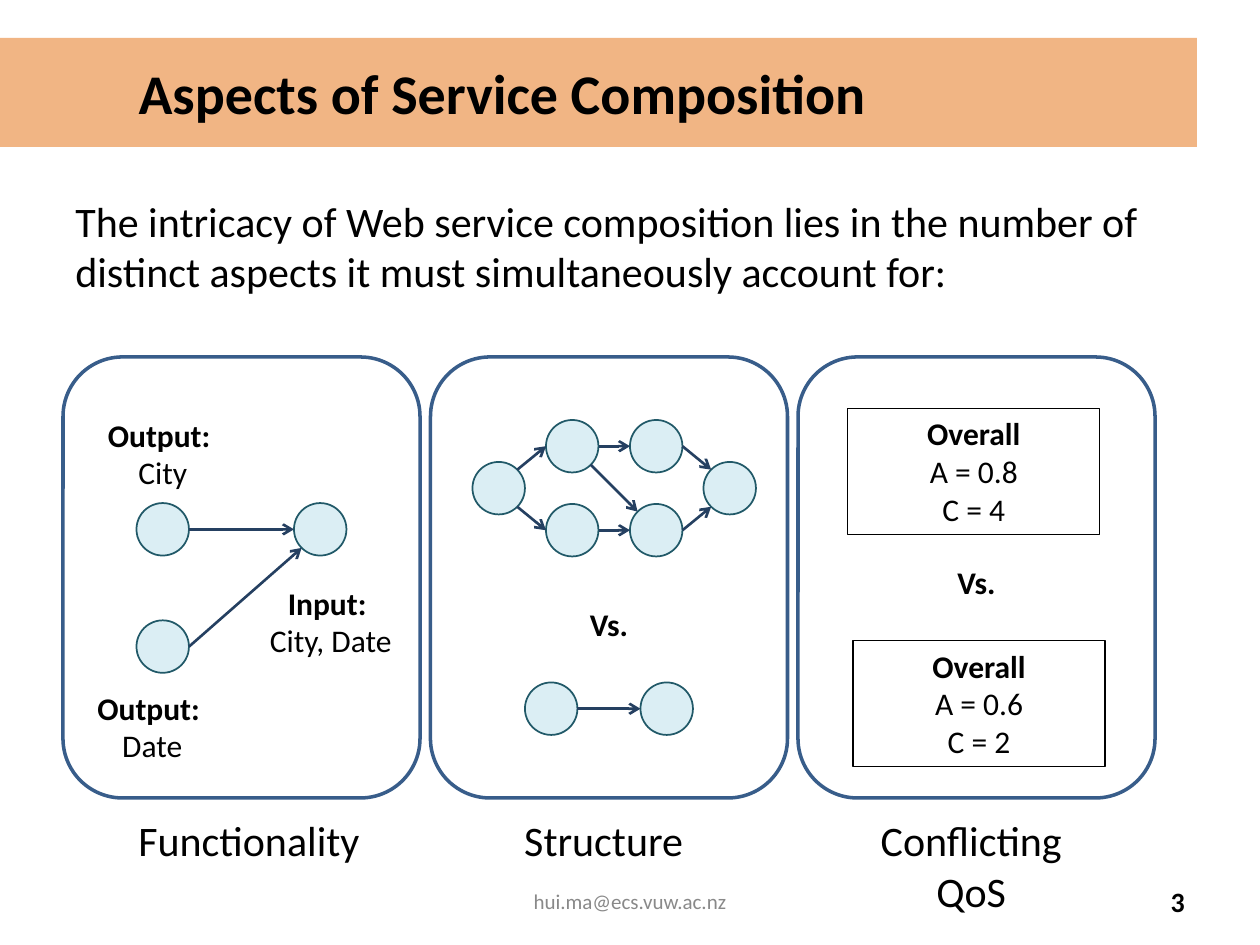
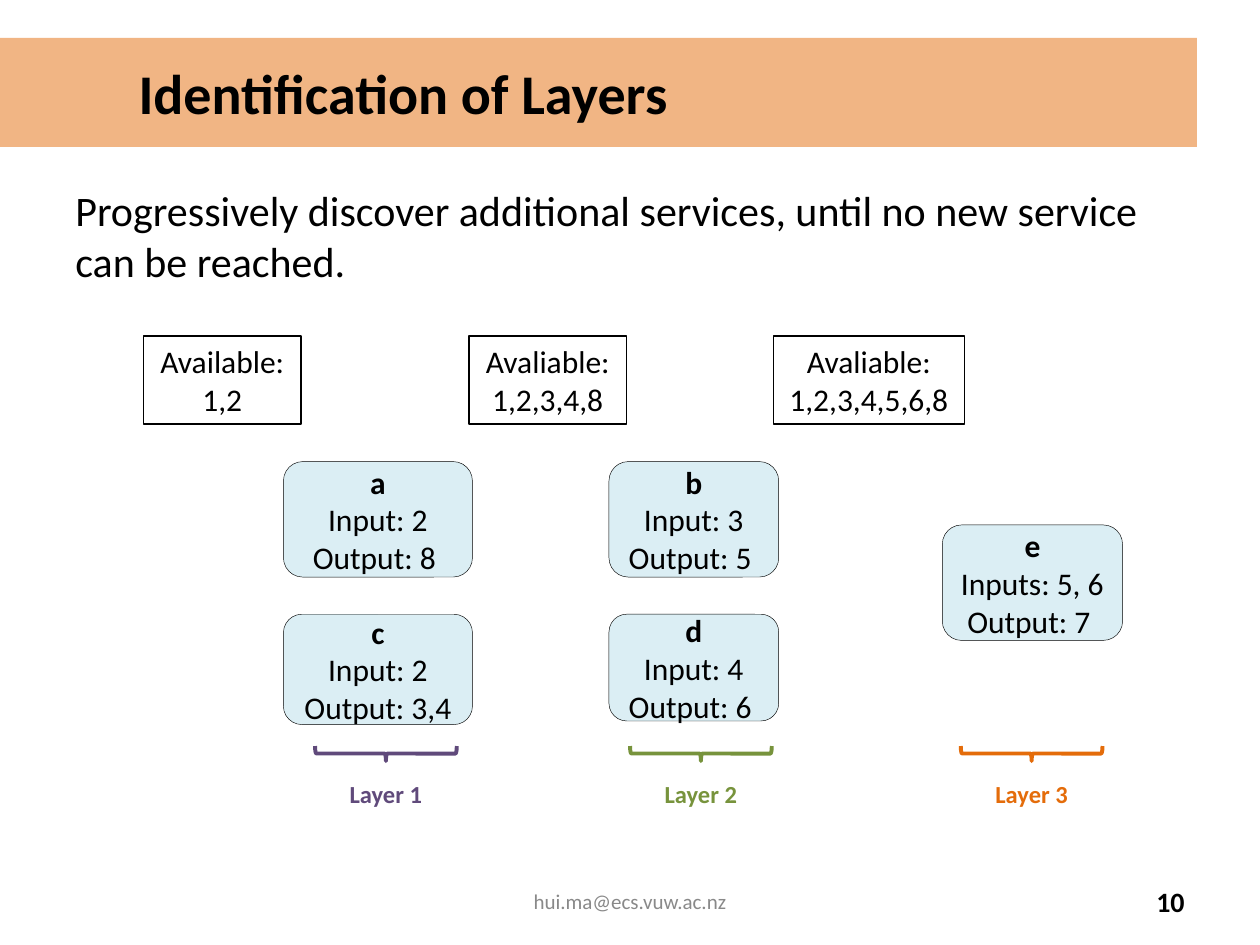
from math import cos, radians, sin

from lxml import etree
from pptx import Presentation
from pptx.dml.color import RGBColor
from pptx.enum.shapes import MSO_CONNECTOR, MSO_SHAPE
from pptx.enum.text import MSO_ANCHOR, PP_ALIGN
from pptx.oxml.ns import qn
from pptx.util import Pt

BLACK, WHITE, ORANGE = "000000", "FFFFFF", "E46C0A"
PANEL_BLUE, ARROW_BLUE = "385D8A", "254061"
PALE_BLUE, TEAL, GREY = "DBEEF4", "215968", "898989"
PURPLE, GREEN = "604A7B", "77933C"

NODE_SIZE = 30
RIM_ANGLES = {"right": 0, "lower right": 45, "lower left": 135,
              "left": 180, "upper left": 225, "upper right": 315}


def color(hex_value):
    return RGBColor.from_string(hex_value)


def rim_point(node, side):
    """Point on the edge of a circle whose top left corner is node."""
    angle = radians(RIM_ANGLES[side])
    radius = NODE_SIZE / 2
    return (node[0] + radius + radius * cos(angle),
            node[1] + radius + radius * sin(angle))


class Deck:
    """Holds the shared style and the slide being built."""

    FONT = "Calibri"
    FRAME = {"word_wrap": True, "margin_left": Pt(7.2), "margin_right": Pt(7.2),
             "margin_top": Pt(3.6), "margin_bottom": Pt(3.6)}

    def __init__(self):
        self.presentation = Presentation()
        self.presentation.slide_width = Pt(720)
        self.presentation.slide_height = Pt(540)
        self.slide = None

    def add_slide(self, title, number):
        layout = self.presentation.slide_layouts[6]
        self.slide = self.presentation.slides.add_slide(layout)
        band = self.shape(MSO_SHAPE.RECTANGLE, (0, 21.6, 684, 62.4), ORANGE)
        fill_color = band._element.spPr.find(qn("a:solidFill"))[0]
        etree.SubElement(fill_color, qn("a:alpha"), val="50000")
        self.set_text(band, [title], size=32, bold_lines=1, align=PP_ALIGN.LEFT,
                      anchor=MSO_ANCHOR.MIDDLE, margin_left=Pt(79.2))
        self.text((246, 500.4, 228, 28.8), ["hui.ma@ecs.vuw.ac.nz"], size=12,
                  ink=GREY, anchor=MSO_ANCHOR.MIDDLE)
        self.text((516, 500.4, 168, 28.8), [number], size=16, bold_lines=1,
                  align=PP_ALIGN.RIGHT, anchor=MSO_ANCHOR.MIDDLE)

    def set_text(self, shape, lines, size=18, ink=BLACK, bold_lines=0,
                 align=PP_ALIGN.CENTER, anchor=MSO_ANCHOR.TOP, **frame_values):
        """Fill a shape with one paragraph per line; the first bold_lines are bold."""
        frame = shape.text_frame
        for name, value in {**self.FRAME, "vertical_anchor": anchor,
                            **frame_values}.items():
            setattr(frame, name, value)
        for index, line in enumerate(lines):
            paragraph = frame.add_paragraph() if index else frame.paragraphs[0]
            paragraph.alignment = align
            run = paragraph.add_run()
            run.text = line
            values = {"name": self.FONT, "size": Pt(size), "bold": index < bold_lines}
            for name, value in values.items():
                setattr(run.font, name, value)
            run.font.color.rgb = color(ink)

    def text(self, box, lines, **style):
        shape = self.slide.shapes.add_textbox(*map(Pt, box))
        self.set_text(shape, lines, **style)

    def shape(self, kind, box, fill=None, line=None, width=1):
        shape = self.slide.shapes.add_shape(kind, *map(Pt, box))
        shape.shadow.inherit = False
        if fill:
            shape.fill.solid()
            shape.fill.fore_color.rgb = color(fill)
        else:
            shape.fill.background()
        if line:
            shape.line.color.rgb = color(line)
            shape.line.width = Pt(width)
        else:
            shape.line.fill.background()
        return shape

    def panel(self, box):
        self.shape(MSO_SHAPE.ROUNDED_RECTANGLE, box, WHITE, PANEL_BLUE, 2)

    def framed_text(self, box, lines, bold_lines=0):
        frame = self.shape(MSO_SHAPE.RECTANGLE, box, WHITE, BLACK, 0.75)
        self.set_text(frame, lines, bold_lines=bold_lines)

    def service(self, box, lines):
        service = self.shape(MSO_SHAPE.ROUNDED_RECTANGLE, box, PALE_BLUE, BLACK, 0.25)
        self.set_text(service, lines, bold_lines=1, anchor=MSO_ANCHOR.MIDDLE)

    def graph(self, nodes, arrows):
        """Draw circles, and arrows given as (from, side, to, side)."""
        for left, top in nodes.values():
            self.shape(MSO_SHAPE.OVAL, (left, top, NODE_SIZE, NODE_SIZE),
                       PALE_BLUE, TEAL)
        for source, source_side, target, target_side in arrows:
            self.arrow(rim_point(nodes[source], source_side),
                       rim_point(nodes[target], target_side))

    def arrow(self, start, end):
        connector = self.slide.shapes.add_connector(
            MSO_CONNECTOR.STRAIGHT, *map(Pt, (*start, *end)))
        connector.line.color.rgb = color(ARROW_BLUE)
        connector.line.width = Pt(1.5)
        etree.SubElement(connector.get_or_add_ln(), qn("a:tailEnd"), type="arrow")
        etree.SubElement(connector._element.spPr, qn("a:effectLst"))

    def layer(self, center, name, ink):
        """Draw a brace pointing down, with the layer name below it."""
        thickness, length, middle = 8.6, 81, 430.6
        brace = self.shape(
            MSO_SHAPE.RIGHT_BRACE,
            (center - thickness / 2, middle - length / 2, thickness, length),
            line=ink, width=2.25)
        brace.rotation = 90
        self.text((center - length / 2, 441.4, length, 24.5), [name], size=14,
                  ink=ink, bold_lines=1)


def build_aspects(deck):
    deck.add_slide("Aspects of Service Composition", "3")
    deck.text((36, 108, 648, 84),
              ["The intricacy of Web service composition lies in the number of "
               "distinct aspects it must simultaneously account for:"],
              size=24, align=PP_ALIGN.LEFT)
    for column in range(3):
        deck.panel((36 + 210 * column, 204, 204, 252))
    for left, caption, align in [(72, "Functionality", PP_ALIGN.LEFT),
                                 (270, "Structure", PP_ALIGN.CENTER),
                                 (480, "Conflicting QoS", PP_ALIGN.CENTER)]:
        deck.text((left, 462, 150, 36), [caption], size=24, align=align)

    deck.graph({"city": (78, 287.5), "date": (78, 354.5), "both": (168, 287.5)},
               [("city", "right", "both", "left"),
                ("date", "right", "both", "lower left")])
    for box, lines in [((54, 234, 78, 50.4), ["Output: ", "City"]),
                       ((48, 390, 78, 50.4), ["Output: ", "Date"]),
                       ((144, 330, 90, 50.4), ["Input: ", "City, Date"])]:
        deck.text(box, lines, bold_lines=1)

    deck.graph({"start": (270, 264), "top 1": (312, 240), "top 2": (360, 240),
                "bottom 1": (312, 288), "bottom 2": (360, 288), "end": (402, 264)},
               [("start", "upper right", "top 1", "left"),
                ("start", "lower right", "bottom 1", "left"),
                ("top 1", "right", "top 2", "left"),
                ("bottom 1", "right", "bottom 2", "left"),
                ("top 1", "lower right", "bottom 2", "upper left"),
                ("top 2", "right", "end", "upper left"),
                ("bottom 2", "right", "end", "lower left")])
    deck.graph({"first": (300, 390), "second": (366, 390)},
               [("first", "right", "second", "left")])

    for left, top in [(324, 342), (534, 318)]:
        deck.text((left, top, 48, 28.8), ["Vs."], bold_lines=1)
    for left, top, quality in [(484.5, 233.3, ["A = 0.8", "C = 4"]),
                               (487.5, 366, ["A = 0.6", "C = 2"])]:
        deck.framed_text((left, top, 144, 72), ["Overall", *quality], bold_lines=1)


def build_layers(deck):
    deck.add_slide("Identification of Layers", "10")
    deck.text((36, 102, 648, 66),
              ["Progressively discover additional services, until no new service "
               "can be reached."], size=24, align=PP_ALIGN.LEFT)
    for left, width, lines in [(82, 90, ["Available: 1,2"]),
                               (268, 90, ["Avaliable: 1,2,3,4,8"]),
                               (442, 109, ["Avaliable:", "1,2,3,4,5,6,8"])]:
        deck.framed_text((left, 192, width, 50.4), lines)
    for box, lines in [
            ((162, 263.8, 108, 66), ["a", "Input: 2", "Output: 8 "]),
            ((162, 351, 108, 63), ["c", "Input: 2", "Output: 3,4 "]),
            ((348, 263.8, 97, 66), ["b", "Input: 3", "Output: 5 "]),
            ((348, 351, 97, 61), ["d", "Input: 4", "Output: 6 "]),
            ((538.5, 300, 103, 66), ["e", "Inputs: 5, 6", "Output: 7 "])]:
        deck.service(box, lines)
    for center, name, ink in [(220.5, "Layer 1", PURPLE), (400.5, "Layer 2", GREEN),
                              (589.5, "Layer 3", ORANGE)]:
        deck.layer(center, name, ink)


def main():
    deck = Deck()
    build_aspects(deck)
    build_layers(deck)
    deck.presentation.save("out.pptx")


if __name__ == "__main__":
    main()
